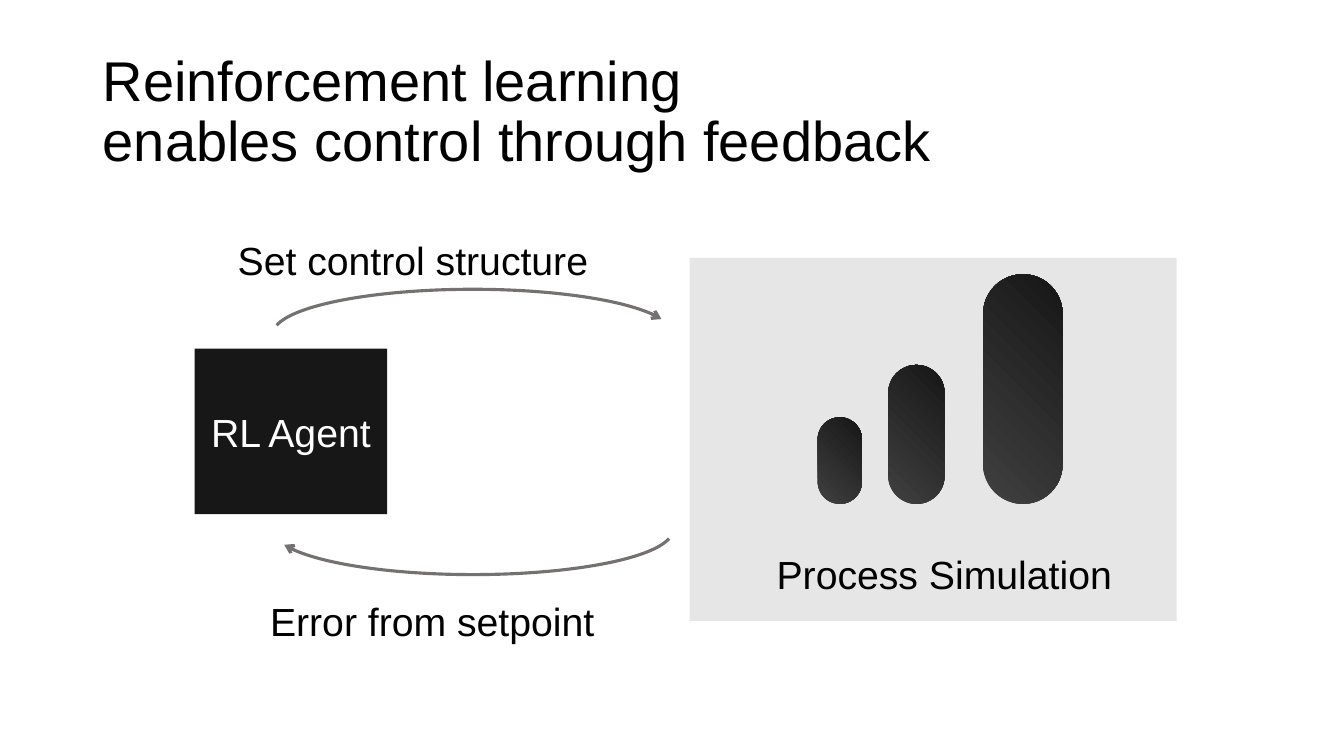
"""Build a slide on reinforcement learning as a feedback loop."""
from pptx import Presentation
from pptx.dml.color import RGBColor as Rgb
from pptx.enum.shapes import MSO_SHAPE as Kind
from pptx.enum.text import MSO_ANCHOR as Anchor, MSO_AUTO_SIZE as Fit, PP_ALIGN as Align
from pptx.oxml import parse_xml
from pptx.oxml.ns import nsdecls
from pptx.util import Inches, Pt

HUES = {"ink": "000000", "dark": "181717", "soft": "404040",
        "pale": "E7E6E6", "line": "767171", "white": "FFFFFF"}
FONT = "Arial"

TITLE = ("Reinforcement learning \venables control through feedback",
         (0.92, 0.4, 11.5, 1.45))
AGENT = ("RL Agent", (1.93, 3.46, 1.91, 1.64))
PANEL = (6.84, 2.56, 4.83, 3.6)
LABELS = [
    ("Set control structure", (2.26, 2.3, 5.17, 0.57), Align.LEFT),
    ("Error from setpoint", (2.58, 5.88, 4.09, 0.57), Align.LEFT),
    ("Process Simulation", (7.33, 5.41, 4.07, 0.57), Align.CENTER),
]
ARCS = [(2.87, 0), (4.82, 180)]
ARC_LEFT, ARC_SIZE, ARC_ENDS = 2.71, (3.96, 0.88), (109.45, 213.36)
BARS = [(8.81, 0.56, 1.38), (8.11, 0.44, 0.86), (9.75, 0.79, 2.28)]
BASE = 5.0

GRAD = f"""<a:gradFill {nsdecls("a")} rotWithShape="1"><a:gsLst>
<a:gs pos="0"><a:srgbClr val="{HUES["dark"]}"/></a:gs>
<a:gs pos="100000"><a:srgbClr val="{HUES["soft"]}"/></a:gs>
</a:gsLst><a:path path="circle"><a:fillToRect l="100000" b="100000"/></a:path>
</a:gradFill>"""


def hue(name):
    return Rgb.from_string(HUES[name])


def write(shape, text, size=28, color="ink", align=Align.LEFT,
          anchor=Anchor.TOP, fit=Fit.NONE, space=None):
    frame = shape.text_frame
    frame.word_wrap = True
    frame.auto_size = fit
    frame.vertical_anchor = anchor
    para = frame.paragraphs[0]
    para.text = text
    para.alignment = align
    para.line_spacing = space
    for run in para.runs:
        run.font.name = FONT
        run.font.size = Pt(size)
        run.font.color.rgb = hue(color)


def draw(slide, kind, box, fill=None):
    shape = slide.shapes.add_shape(kind, *map(Inches, box))
    shape.shadow.inherit = False
    shape.line.fill.background()
    if fill:
        shape.fill.solid()
        shape.fill.fore_color.rgb = hue(fill)
    else:
        shape.fill.background()
    return shape


def add_arc(slide, top, turn):
    arc = draw(slide, Kind.ARC, (ARC_LEFT, top, *ARC_SIZE))
    arc.adjustments[0], arc.adjustments[1] = ARC_ENDS
    arc.rotation = turn
    arc.line.color.rgb = hue("line")
    arc.line.width = Pt(2.25)
    arc.line._get_or_add_ln().append(
        parse_xml(f'<a:tailEnd {nsdecls("a")} type="arrow"/>'))


def add_bar(slide, left, width, height):
    bar = draw(slide, Kind.ROUNDED_RECTANGLE,
               (left, BASE - height, width, height), "dark")
    bar.adjustments[0] = 0.5
    props = bar._element.spPr
    props.xfrm.set("flipH", "1")
    props.replace(props.eg_fillProperties if hasattr(props, "eg_fillProperties")
                  else props.find("{*}solidFill"), parse_xml(GRAD))


def main():
    deck = Presentation()
    deck.slide_width, deck.slide_height = Inches(13.33), Inches(7.5)
    slide = deck.slides.add_slide(deck.slide_layouts[5])

    text, box = TITLE
    title = slide.shapes.title
    title.left, title.top, title.width, title.height = map(Inches, box)
    write(title, text, size=40, anchor=Anchor.MIDDLE, space=0.9)

    text, box = AGENT
    write(draw(slide, Kind.RECTANGLE, box, "dark"), text, color="white",
          align=Align.CENTER, anchor=Anchor.MIDDLE)
    draw(slide, Kind.RECTANGLE, PANEL, "pale")
    for top, turn in ARCS:
        add_arc(slide, top, turn)
    for text, box, align in LABELS:
        label = slide.shapes.add_textbox(*map(Inches, box))
        write(label, text, align=align, fit=Fit.SHAPE_TO_FIT_TEXT)
    for bar in BARS:
        add_bar(slide, *bar)

    deck.save("out.pptx")


if __name__ == "__main__":
    main()
